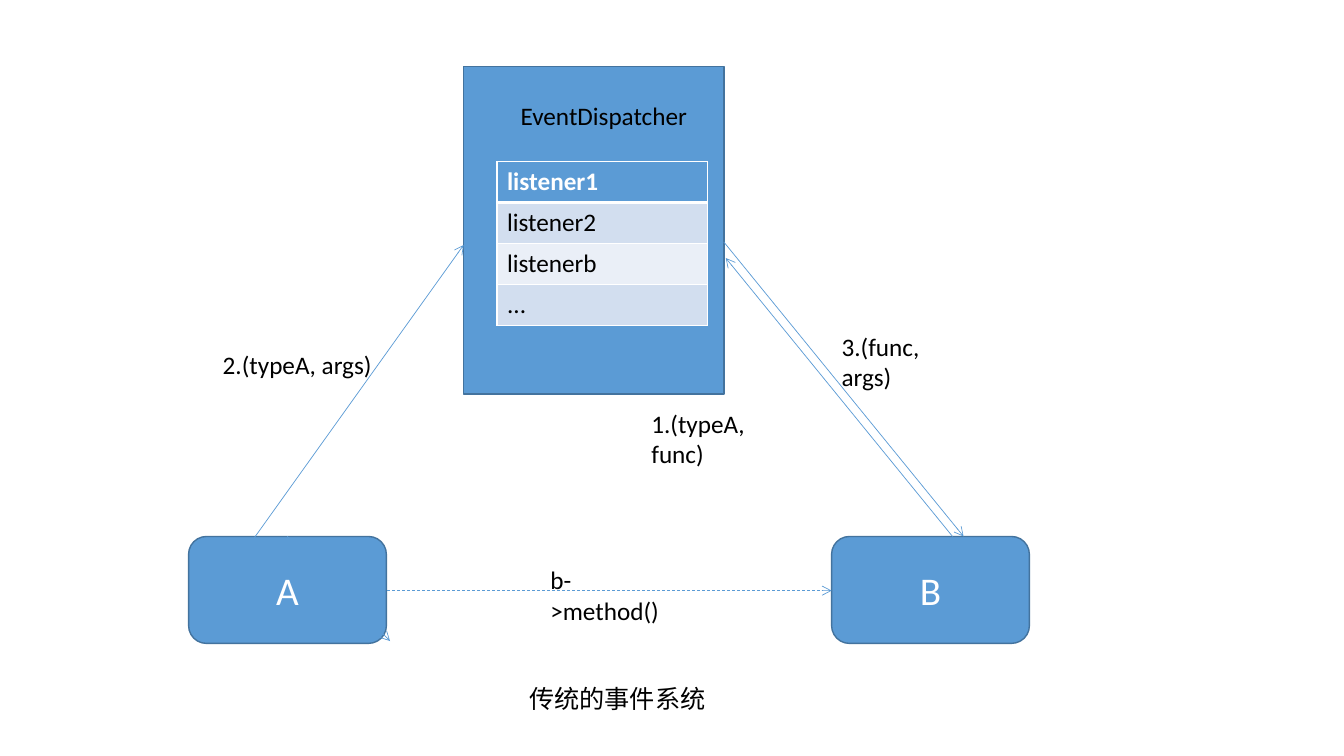
import pptx
import pptx.util
import pptx.dml.color
import pptx.enum.dml
import pptx.enum.shapes
import pptx.enum.text
import pptx.oxml
from lxml import etree

Pt = pptx.util.Pt
SHAPES = pptx.enum.shapes.MSO_SHAPE
BLUE, OUTLINE, WHITE, BLACK = "5B9BD5", "43739E", "FFFFFF", "000000"
DRAWING_NS = "http://schemas.openxmlformats.org/drawingml/2006/main"


def rgb(code):
    return pptx.dml.color.RGBColor.from_string(code)


def write(frame, text, size, color, bold=False):
    paragraph = frame.paragraphs[0]
    paragraph.text = text
    paragraph.font.name = "Calibri"
    paragraph.font.size = Pt(size)
    paragraph.font.bold = bold
    paragraph.font.color.rgb = rgb(color)
    return paragraph


deck = pptx.Presentation()
deck.slide_width, deck.slide_height = Pt(960), Pt(540)
slide = deck.slides.add_slide(deck.slide_layouts[6])

# Dispatcher and the two objects
for kind, label, left, top, width, height in [
    (SHAPES.RECTANGLE, "", 331.2, 47.6, 186, 234),
    (SHAPES.ROUNDED_RECTANGLE, "A", 134.7, 383.2, 141.3, 76.4),
    (SHAPES.ROUNDED_RECTANGLE, "B", 594, 383.2, 141.3, 76.4),
]:
    block = slide.shapes.add_shape(kind, Pt(left), Pt(top), Pt(width), Pt(height))
    block.shadow.inherit = False
    block.fill.solid()
    block.fill.fore_color.rgb = rgb(BLUE)
    block.line.color.rgb = rgb(OUTLINE)
    block.line.width = Pt(1)
    if label:
        block.text_frame.vertical_anchor = pptx.enum.text.MSO_ANCHOR.MIDDLE
        name = write(block.text_frame, label, 28, WHITE)
        name.alignment = pptx.enum.text.PP_ALIGN.CENTER

# Listener table
listeners = [
    ("listener1", BLUE, WHITE),
    ("listener2", "D2DEEF", BLACK),
    ("listenerb", "EAEFF7", BLACK),
    ("...", "D2DEEF", BLACK),
]
row_height = 29.3
listener_table = slide.shapes.add_table(
    len(listeners), 1, Pt(355), Pt(115.3), Pt(150.5), Pt(row_height * len(listeners))
).table
for row, (listener, fill, color) in enumerate(listeners):
    listener_table.rows[row].height = Pt(row_height)
    cell = listener_table.cell(row, 0)
    write(cell.text_frame, listener, 18, color, bold=row == 0)
    cell.fill.solid()
    cell.fill.fore_color.rgb = rgb(fill)
    # Borders precede the fill; the header is underlined with a thick rule
    for position, side in enumerate(["lnL", "lnR", "lnT", "lnB"]):
        thick = (row, side) in [(0, "lnB"), (1, "lnT")]
        border = pptx.oxml.parse_xml(
            f'<a:{side} xmlns:a="{DRAWING_NS}" w="{Pt(3 if thick else 1)}">'
            f'<a:solidFill><a:srgbClr val="{WHITE}"/></a:solidFill></a:{side}>'
        )
        cell._tc.get_or_add_tcPr().insert(position, border)

# Call arrows
for x1, y1, x2, y2, dashed in [
    (205.2, 383.2, 278.6, 457.9, False),
    (181.4, 384.5, 331.2, 175, False),
    (276.5, 421.9, 594, 421.9, True),
    (680.4, 383.2, 518.4, 184.3, False),
    (517, 172.8, 688.3, 383.2, False),
]:
    call = slide.shapes.add_connector(
        pptx.enum.shapes.MSO_CONNECTOR.STRAIGHT, Pt(x1), Pt(y1), Pt(x2), Pt(y2)
    )
    call.line.color.rgb = rgb(BLUE)
    call.line.width = Pt(0.5)
    if dashed:
        call.line.dash_style = pptx.enum.dml.MSO_LINE.DASH
    etree.SubElement(call.line._get_or_add_ln(), f"{{{DRAWING_NS}}}tailEnd", type="arrow")
    etree.SubElement(call._element.spPr, f"{{{DRAWING_NS}}}effectLst")

# Labels and caption
for text, left, top, width, wraps in [
    ("2.(typeA, args)", 152, 246.2, 121, False),
    ("b->method()", 386, 399.8, 106.6, False),
    ("1.(typeA, func)", 458.2, 288.2, 122.4, False),
    ("3.(func, args)", 594, 232.9, 109.4, False),
    ("EventDispatcher", 364.8, 67.8, 133.2, False),
    ("传统的事件系统", 370.8, 484.6, 149.8, True),
]:
    label_frame = slide.shapes.add_textbox(Pt(left), Pt(top), Pt(width), Pt(29)).text_frame
    label_frame.word_wrap = wraps
    label_frame.auto_size = pptx.enum.text.MSO_AUTO_SIZE.SHAPE_TO_FIT_TEXT
    write(label_frame, text, 18, BLACK)

deck.save("out.pptx")
